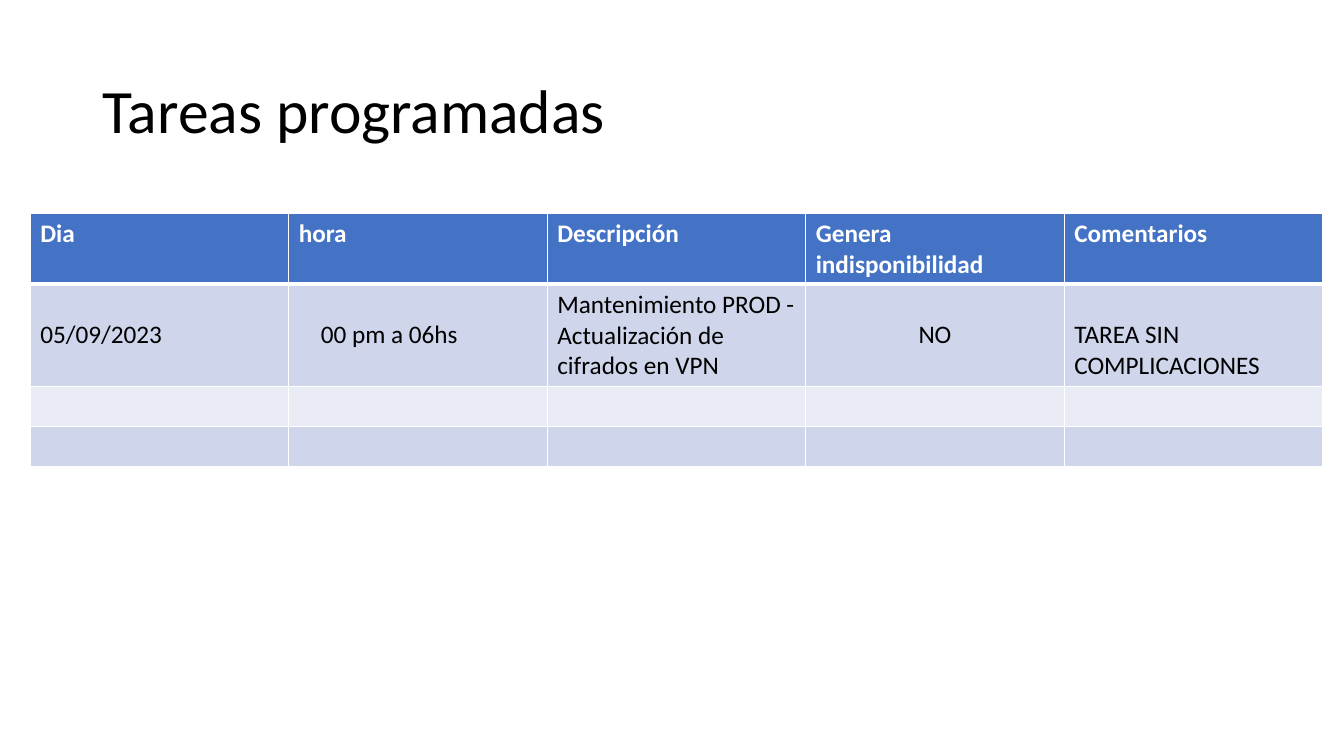
import pptx
import pptx.dml.color
import pptx.enum.text
import pptx.oxml
import pptx.oxml.ns
import pptx.util

Inches = pptx.util.Inches
Pt = pptx.util.Pt
Align = pptx.enum.text.PP_ALIGN
Anchor = pptx.enum.text.MSO_ANCHOR

FONT = "Calibri"
COLORS = {
    "head": "4472C4",
    "odd": "CFD5EA",
    "even": "E9EBF5",
    "text": "000000",
    "white": "FFFFFF",
}
HEADS = ["Dia", "hora", "Descripción", "Genera indisponibilidad", "Comentarios"]
TASK = [
    ("05/09/2023", 0.35, 0.1, Align.LEFT),
    ("00 pm a 06hs", 0.35, 0.32, Align.LEFT),
    ("Mantenimiento PROD - Actualización de cifrados en VPN", 0.05, 0.1, Align.LEFT),
    ("NO", 0.35, 0.1, Align.CENTER),
    ("TAREA SIN COMPLICACIONES", 0.35, 0.1, Align.LEFT),
]
HEIGHTS = [0.7, 1.01, 0.4, 0.4]
FILLS = ["head", "odd", "even", "odd"]


def color(name):
    return pptx.dml.color.RGBColor.from_string(COLORS[name])


def write(para, text, size, tint, bold=False):
    run = para.add_run()
    run.text = text
    run.font.name = FONT
    run.font.size = Pt(size)
    run.font.bold = bold
    run.font.color.rgb = color(tint)


def rule(cell, width):
    line = pptx.oxml.parse_xml(
        f'<a:lnB {pptx.oxml.ns.nsdecls("a")} w="{Pt(width)}"><a:solidFill>'
        f'<a:srgbClr val="{COLORS["white"]}"/></a:solidFill></a:lnB>'
    )
    cell._tc.get_or_add_tcPr().insert(0, line)


def title(slide, left, top, width, height):
    box = slide.shapes.add_textbox(
        Inches(left), Inches(top), Inches(width), Inches(height)
    )
    frame = box.text_frame
    frame.word_wrap = True
    frame.vertical_anchor = Anchor.MIDDLE
    para = frame.paragraphs[0]
    para.line_spacing = 0.9
    write(para, "Tareas programadas", 44, "text")


def tasks(slide, left, top, width):
    table = slide.shapes.add_table(
        len(HEIGHTS), len(HEADS),
        Inches(left), Inches(top), Inches(width), Inches(sum(HEIGHTS)),
    ).table
    for row, height, fill in zip(table.rows, HEIGHTS, FILLS):
        row.height = Inches(height)
        for cell in row.cells:
            cell.fill.solid()
            cell.fill.fore_color.rgb = color(fill)
    for col, head in enumerate(HEADS):
        cell = table.cell(0, col)
        write(cell.text_frame.paragraphs[0], head, 18, "white", True)
        rule(cell, 3)
    for col, (text, above, inset, align) in enumerate(TASK):
        cell = table.cell(1, col)
        cell.margin_top = Inches(above)
        cell.margin_left = Inches(inset)
        para = cell.text_frame.paragraphs[0]
        para.alignment = align
        write(para, text, 18, "text")


def main():
    deck = pptx.Presentation()
    deck.slide_width = Inches(13.33)
    deck.slide_height = Inches(7.5)
    slide = deck.slides.add_slide(deck.slide_layouts[6])
    title(slide, 0.92, 0.4, 11.5, 1.45)
    tasks(slide, 0.3, 2.12, 12.82)
    deck.save("out.pptx")


if __name__ == "__main__":
    main()
